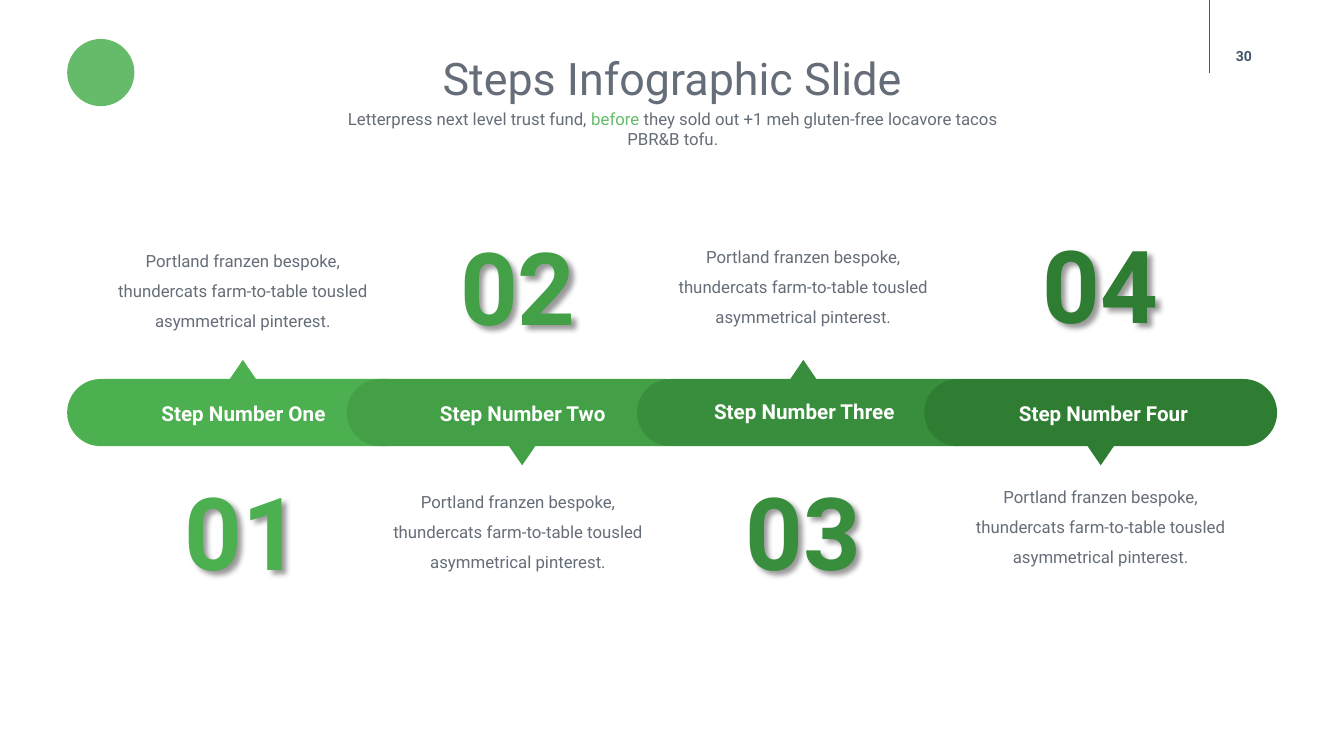
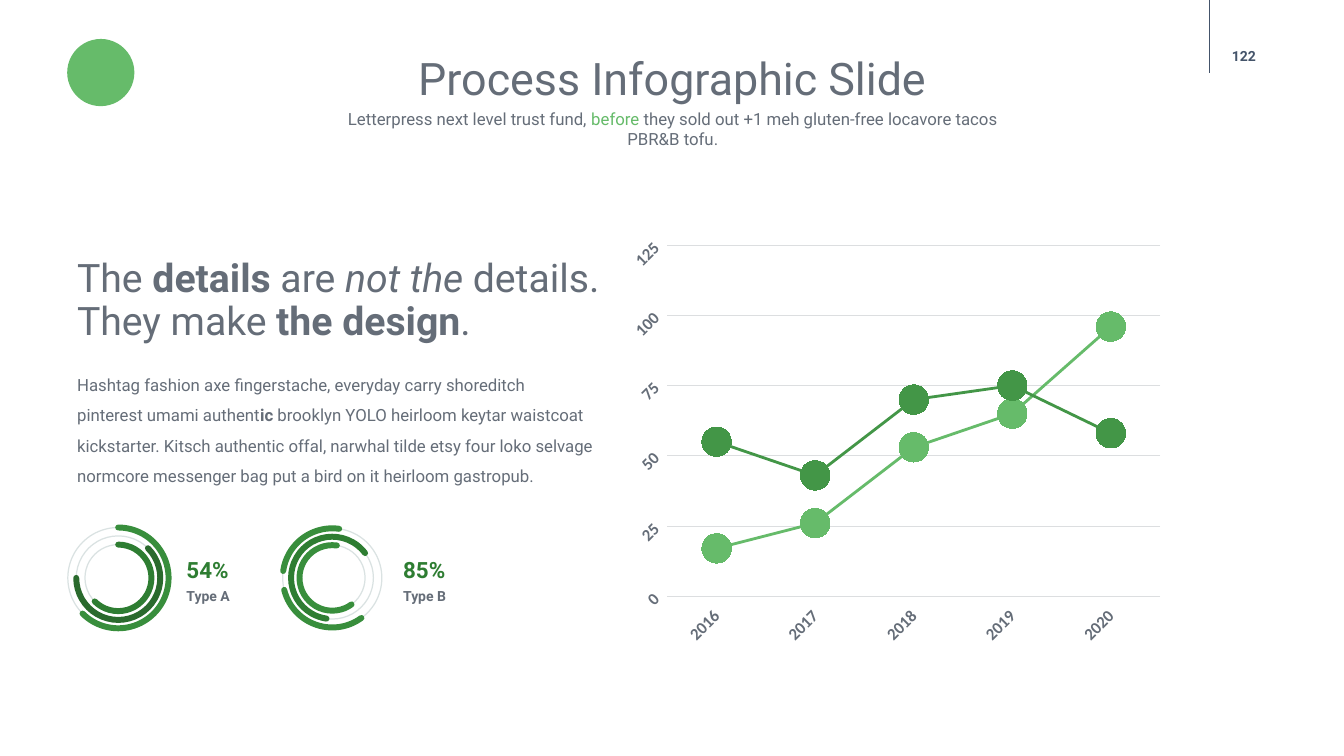
from dataclasses import dataclass
from typing import Any, NamedTuple

from lxml.etree import SubElement
from pptx import Presentation
from pptx.chart.data import CategoryChartData
from pptx.dml.color import RGBColor
from pptx.enum.chart import XL_CHART_TYPE as Kind, XL_MARKER_STYLE as Mark
from pptx.enum.chart import XL_TICK_LABEL_POSITION as Spot, XL_TICK_MARK as Tick
from pptx.enum.shapes import MSO_CONNECTOR as Link, MSO_SHAPE as Form
from pptx.enum.text import MSO_ANCHOR as Anchor, MSO_AUTO_SIZE as Fit, PP_ALIGN as Align
from pptx.oxml import parse_xml
from pptx.oxml.ns import nsdecls, qn
from pptx.util import Emu, Pt

# Shared look: a grid of 40 columns by 22.5 rows of square cells
COLS, ROWS, CELL = 40, 22.5, 304800
FACE = "Roboto"
GREY, SLATE, LEAF, DEEP = "656D78", "44546A", "66BB6A", "2E7D32"
RULE, RING = "DCDEE0", "DAE2E2"
WIDE = (0.4, 0.2)


class Box(NamedTuple):
    x: float
    y: float
    w: float
    h: float


@dataclass
class Step:
    name: str
    tint: str
    pill: float  # left column of the pill
    label: float  # centre columns of the parts
    tip: float
    note: float
    row: float  # top rows of label, note and number
    note_row: float
    num_row: float
    up: bool


class Arc(NamedTuple):
    size: float
    start: float
    end: float
    tint: str


@dataclass
class Dial:
    x: float
    rings: tuple[float, ...]
    arcs: list[Arc]
    text: float
    share: str
    name: str


STEPS = [
    Step("Step Number One", "4CAF50", 2, 7.25, 7.23, 7.23, 11.73, 6.96, 13.74, True),
    Step("Step Number Two", "43A047", 10.32, 15.56, 15.54, 15.42, 11.73, 14.13, 6.45, False),
    Step("Step Number Three", "388E3C", 18.96, 23.94, 23.91, 23.91, 11.67, 6.84, 13.74, True),
    Step("Step Number Four", DEEP, 27.51, 32.84, 32.76, 32.76, 11.73, 13.98, 6.39, False),
]
NOTE = "Portland franzen bespoke, thundercats farm-to-table tousled asymmetrical pinterest."

DIALS = [
    Dial(3.52, (3, 2.5, 1.98),
         [Arc(3, 270, 135, "388E3C"), Arc(2.5, 315, 180, "2A6A2D"), Arc(1.98, 270, 135, DEEP)],
         5.55, "54%", "Type A"),
    Dial(9.89, (2.95, 2.45, 1.95),
         [Arc(2.95, 188, 278, "388E3C"), Arc(2.95, 54, 166, "388E3C"),
          Arc(2.45, 98, 323, DEEP), Arc(1.95, 54, 278, "388E3C")],
         12, "85%", "Type B"),
]

YEARS = ["2016", "2017", "2018", "2019", "2020"]
LINES = [("Series 1", LEAF, (17, 26, 53, 65, 96)),
         ("Series 2", "439647", (55, 43, 70, 75, 58))]


# Helpers
def cell(n: float) -> Emu:
    return Emu(round(n * CELL))


def span(box: Box) -> list[Emu]:
    return [cell(n) for n in box]


def hue(code: str) -> RGBColor:
    return RGBColor.from_string(code)


def style(font: Any, **fmt: Any) -> None:
    for key, val in fmt.items():
        if key == "tint":
            font.color.rgb = hue(val)
        else:
            setattr(font, key, Pt(val) if key == "size" else val)


def write(frame: Any, runs: list[tuple[str, dict]], align: Any = Align.CENTER,
          lead: float = 1, pad: tuple[float, float] = (0.3, 0.15),
          anchor: Any = Anchor.TOP, **fmt: Any) -> None:
    side, edge = map(cell, pad)
    look = dict(word_wrap=True, auto_size=Fit.NONE, vertical_anchor=anchor,
                margin_left=side, margin_right=side, margin_top=edge, margin_bottom=edge)
    for key, val in look.items():
        setattr(frame, key, val)
    para = frame.paragraphs[0]
    para.alignment, para.line_spacing = align, lead
    for text, more in runs:
        run = para.add_run()
        run.text = text
        style(run.font, **{"name": FACE, "tint": GREY, "size": 12, **fmt, **more})


def label(slide: Any, box: Box, text: str | list, **fmt: Any) -> Any:
    item = slide.shapes.add_textbox(*span(box))
    write(item.text_frame, [(text, {})] if isinstance(text, str) else text, **fmt)
    return item


def shape(slide: Any, form: Any, box: Box, fill: str = "",
          line: str = "", width: float = 0) -> Any:
    item = slide.shapes.add_shape(form, *span(box))
    item.shadow.inherit = False
    if fill:
        item.fill.solid()
        item.fill.fore_color.rgb = hue(fill)
    else:
        item.fill.background()
    if line:
        item.line.color.rgb = hue(line)
        item.line.width = Pt(width)
    else:
        item.line.fill.background()
    return item


def cast(item: Any) -> None:
    """Give the text of a box a soft shadow."""
    item.fill.background()
    item._element.spPr.append(parse_xml(
        f'<a:effectLst {nsdecls("a")}><a:outerShdw blurRad="50800" dist="50800" dir="2700000" '
        'algn="tl" rotWithShape="0"><a:srgbClr val="000000"><a:alpha val="40000"/>'
        '</a:srgbClr></a:outerShdw></a:effectLst>'))


# Frame of every slide
def start(deck: Any, title: str, page: str) -> Any:
    slide = deck.slides.add_slide(deck.slide_layouts[5])
    shape(slide, Form.OVAL, Box(2, 1.16, 2, 2), LEAF)
    rule = slide.shapes.add_connector(Link.STRAIGHT, *span(Box(36, 0, 36, 2.18)))
    rule.line.color.rgb, rule.line.width = hue(SLATE), Pt(1)
    SubElement(rule._element.spPr, qn("a:effectLst"))
    label(slide, Box(35.82, 1.08, 2.4, 1.2), page, pad=(0, 0), anchor=Anchor.MIDDLE,
          size=10, tint=SLATE, bold=True)
    head = slide.shapes.title
    head.left, head.top, head.width, head.height = span(Box(7.62, 1.35, 24.78, 1.92))
    write(head.text_frame, [(title, {})], size=32)
    label(slide, Box(9.6, 3.09, 20.85, 1.5), [
        ("Letterpress next level trust fund, ", {}), ("before", {"tint": LEAF}),
        (" they sold out +1 meh gluten-free locavore tacos PBR&B tofu.", {})])
    return slide


# Steps slide
def step(slide: Any, i: int, s: Step) -> None:
    pill = shape(slide, Form.ROUNDED_RECTANGLE, Box(s.pill, 11.28, 10.5, 2), s.tint)
    pill.adjustments[0] = 0.5
    tip = shape(slide, Form.ISOSCELES_TRIANGLE,
                Box(s.tip - 0.39, 10.71 if s.up else 13.28, 0.78, 0.57), s.tint)
    tip.rotation = 0 if s.up else 180
    label(slide, Box(s.label - 3.9, s.row, 7.8, 1.2), s.name, pad=WIDE,
          size=14.7, tint="FFFFFF", bold=True)
    label(slide, Box(s.note - 4.26, s.note_row, 8.52, 3.57), NOTE, pad=WIDE, lead=1.5)
    cast(label(slide, Box(s.note - 2.78, s.num_row, 5.55, 4.05), f"{i:02}", pad=WIDE,
               anchor=Anchor.MIDDLE, size=72, tint=s.tint, bold=True))


# Process slide
def dial(slide: Any, d: Dial) -> None:
    def ring(size: float) -> Box:
        return Box(d.x - size / 2, 17.2 - size / 2, size, size)

    for size in d.rings:
        shape(slide, Form.OVAL, ring(size), line=RING, width=0.88)
    for arc in d.arcs:
        item = shape(slide, Form.ARC, ring(arc.size), line=arc.tint, width=4.25)
        for i, turn in enumerate((arc.start, arc.end)):
            item.adjustments[i] = turn * 0.6  # 60000 units per degree, out of 100000
        item.line._get_or_add_ln().set("cap", "rnd")
    for row, text, size, tint in ((16.65, d.share, 16, DEEP), (17.55, d.name, 10, GREY)):
        label(slide, Box(d.text, row, 1.6, 0.8), text, align=Align.LEFT, lead=0.9,
              pad=(0, 0), size=size, tint=tint, bold=True)


def graph(slide: Any) -> None:
    data = CategoryChartData()
    data.categories = YEARS
    for name, _, vals in LINES:
        data.add_series(name, vals)
    box = span(Box(18.27, 6.6, 16.92, 12.96))
    chart = slide.shapes.add_chart(Kind.LINE_MARKERS, *box, data).chart
    chart.has_legend = chart.has_title = False
    style(chart.font, name="Calibri", size=10, tint=GREY)
    plot = chart.plots[0]
    plot.vary_by_categories = False
    for row, (_, tint, _) in zip(plot.series, LINES):
        row.smooth = False
        row.format.line.color.rgb, row.format.line.width = hue(tint), Pt(2)
        dot = row.marker
        dot.style, dot.size = Mark.CIRCLE, 21
        dot.format.fill.solid()
        dot.format.fill.fore_color.rgb = hue(tint)
        dot.format.line.fill.background()

    # Axes
    cats, vals = chart.category_axis, chart.value_axis
    for axis in (cats, vals):
        axis.major_tick_mark = axis.minor_tick_mark = Tick.NONE
        style(axis.tick_labels.font, name="Calibri", size=12, tint=GREY, bold=True)
        axis._element.find(qn("c:txPr")).find(qn("a:bodyPr")).set("rot", "-2700000")
    cats.tick_label_position = Spot.LOW
    vals.minimum_scale, vals.maximum_scale, vals.major_unit = 0, 125, 25
    vals.tick_labels.number_format = "#,##0"
    vals.tick_labels.number_format_is_linked = False
    vals.format.line.fill.background()
    for line in (cats.format.line, vals.major_gridlines.format.line):
        line.color.rgb, line.width = hue(RULE), Pt(0.5)

    # Inner plot area, as shares of the chart
    area = chart._chartSpace.chart.plotArea
    for old in area.findall(qn("c:layout")):
        area.remove(old)
    place = SubElement(SubElement(area, qn("c:layout")), qn("c:manualLayout"))
    area.insert(0, place.getparent())
    for tag, val in dict(layoutTarget="inner", xMode="edge", yMode="edge",
                         x=0.094, y=0.054, w=0.867, h=0.806).items():
        SubElement(place, qn(f"c:{tag}")).set("val", str(val))


def main() -> None:
    deck = Presentation()
    deck.slide_width, deck.slide_height = cell(COLS), cell(ROWS)

    slide = start(deck, "Steps Infographic Slide", "30")
    for i, s in enumerate(STEPS, 1):
        step(slide, i, s)

    slide = start(deck, "Process Infographic Slide", "122")
    graph(slide)
    bold = {"bold": True}
    label(slide, Box(2, 7.56, 16.38, 2.85), [
        ("The ", {}), ("details", bold), (" are ", {}), ("not the ", {"italic": True}),
        ("details. They make ", {}), ("the design", bold), (".", {})],
        align=Align.LEFT, lead=0.9, size=28)
    label(slide, Box(2, 10.71, 15.96, 3.93), [
        ("Hashtag fashion axe fingerstache, everyday carry shoreditch pinterest umami authent", {}),
        ("ic ", bold),
        ("brooklyn YOLO heirloom keytar waistcoat kickstarter. Kitsch authentic offal, narwhal "
         "tilde etsy four loko selvage normcore messenger bag put a bird on it heirloom "
         "gastropub.", {})],
        align=Align.LEFT, lead=1.5)
    for d in DIALS:
        dial(slide, d)

    deck.save("out.pptx")


if __name__ == "__main__":
    main()
